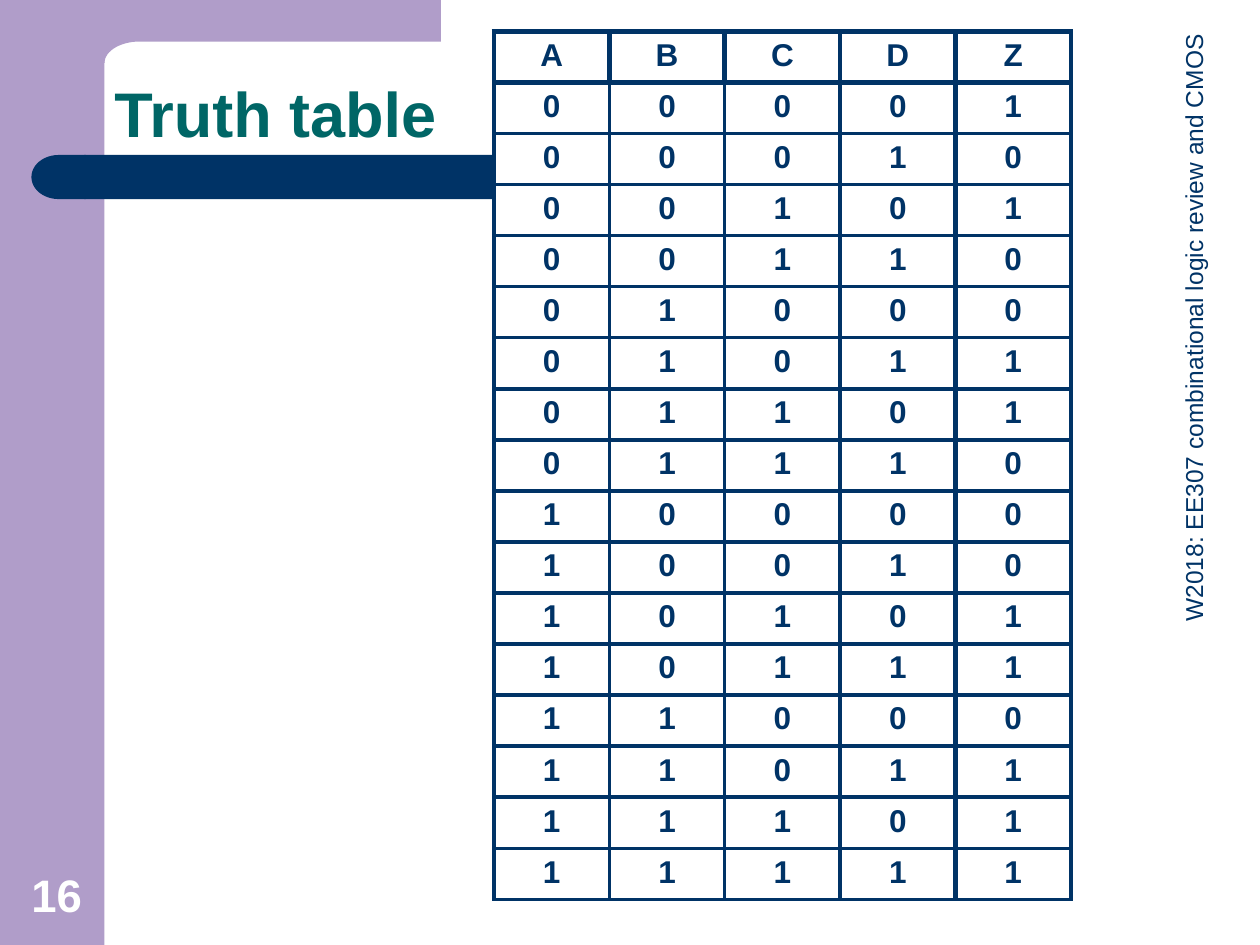
import math
from itertools import product

from lxml import etree
from pptx import Presentation
from pptx.dml.color import RGBColor
from pptx.enum.shapes import MSO_SHAPE
from pptx.enum.text import MSO_ANCHOR, PP_ALIGN
from pptx.oxml.ns import qn
from pptx.util import Inches, Pt

RECTANGLE = MSO_SHAPE.RECTANGLE
ROUNDED = MSO_SHAPE.ROUNDED_RECTANGLE
DELAY = MSO_SHAPE.FLOWCHART_DELAY
TOP, BOTTOM = MSO_ANCHOR.TOP, MSO_ANCHOR.BOTTOM
LEFT, CENTER, RIGHT = PP_ALIGN.LEFT, PP_ALIGN.CENTER, PP_ALIGN.RIGHT

LILAC, NAVY, TEAL, WHITE = "B09DC9", "003366", "006666", "FFFFFF"
INPUTS = "ABCD"
OUTPUTS = "1010011000110111"
THIN, THICK = 2.25, 3


def paint(fill, color):
    fill.solid()
    fill.fore_color.rgb = RGBColor.from_string(color)


def finish(shape, color):
    paint(shape.fill, color)
    shape.line.fill.background()
    shape.shadow.inherit = False


def add_block(slide, kind, box, color):
    block = slide.shapes.add_shape(kind, *map(Inches, box))
    finish(block, color)
    return block


def add_corner(slide):
    bend_x, bend_y, radius_x, radius_y = 1.11, 0.5, 0.28, 0.17
    angles = [math.radians(degrees) for degrees in range(0, 91, 6)]
    curve = [(bend_x - radius_x * math.sin(a), bend_y - radius_y * math.cos(a))
             for a in angles]
    outline = [(3.5, 0), (3.5, 0.33), *curve, (0.5, 0.5), (0.5, 0)]
    points = [(Inches(x), Inches(y)) for x, y in outline]
    builder = slide.shapes.build_freeform(*points[0], scale=1.0)
    builder.add_line_segments(points[1:], close=True)
    finish(builder.convert_to_shape(), LILAC)


def write(frame, text, size, color, align, bold=True):
    paragraph = frame.paragraphs[0]
    paragraph.alignment = align
    run = paragraph.add_run()
    run.text = text
    formats = {"name": "Arial", "size": Pt(size), "bold": bold}
    for key, value in formats.items():
        setattr(run.font, key, value)
    run.font.color.rgb = RGBColor.from_string(color)
    return paragraph


def add_label(slide, box, text, size, color, align, anchor, bold=True, rotation=0):
    label = slide.shapes.add_textbox(*map(Inches, box))
    label.rotation = rotation
    label.text_frame.word_wrap = True
    label.text_frame.vertical_anchor = anchor
    return write(label.text_frame, text, size, color, align, bold)


def set_border(cell, side, width):
    properties = cell._tc.get_or_add_tcPr()
    line = etree.SubElement(properties, qn(f"a:ln{side}"), w=str(Pt(width)))
    solid = etree.SubElement(line, qn("a:solidFill"))
    etree.SubElement(solid, qn("a:srgbClr"), val=NAVY)


def border_widths(row, column):
    output_column = len(INPUTS)
    heavy = {
        "L": row == 0 or column == output_column,
        "R": row == 0 or column == output_column - 1,
        "T": row <= 1,
        "B": row == 0,
    }
    return {side: THICK if is_heavy else THIN for side, is_heavy in heavy.items()}


def add_truth_table(slide, box):
    states = product("01", repeat=len(INPUTS))
    rows = [(*INPUTS, "Z")]
    rows += [(*state, output) for state, output in zip(states, OUTPUTS)]
    table = slide.shapes.add_table(len(rows), len(rows[0]), *map(Inches, box)).table
    for key in ("first_row", "horz_banding"):
        setattr(table, key, False)
    for r, values in enumerate(rows):
        for c, value in enumerate(values):
            cell = table.cell(r, c)
            for side, width in border_widths(r, c).items():
                set_border(cell, side, width)
            paint(cell.fill, WHITE)
            write(cell.text_frame, value, 18, NAVY, CENTER)


def main():
    deck = Presentation()
    deck.slide_width, deck.slide_height = Inches(10), Inches(7.5)
    slide = deck.slides.add_slide(deck.slide_layouts[6])
    paint(slide.background.fill, WHITE)

    add_block(slide, RECTANGLE, (0, 0, 0.83, 7.5), LILAC)
    add_corner(slide)
    title_bar = add_block(slide, ROUNDED, (0.67, 1.23, 7.67, 0.35), NAVY)
    title_bar.adjustments[0] = 0
    bar_end = add_block(slide, DELAY, (0.25, 1.23, 0.43, 0.35), NAVY)
    bar_end._element.spPr.get_or_add_xfrm().set("flipH", "1")

    title = add_label(slide, (0.81, 0, 3.42, 1.25), "Truth table", 36, TEAL,
                      LEFT, BOTTOM)
    title.line_spacing = 0.9
    add_label(slide, (6.29, 3.19, 6.52, 0.49),
              "W2018: EE307 combinational logic review and CMOS", 14, NAVY,
              RIGHT, TOP, bold=False, rotation=270)
    add_truth_table(slide, (3.92, 0.25, 4.58, 6.89))
    add_label(slide, (0, 6.83, 0.9, 0.53), "16", 26, WHITE, CENTER, BOTTOM)

    deck.save("out.pptx")


if __name__ == "__main__":
    main()
